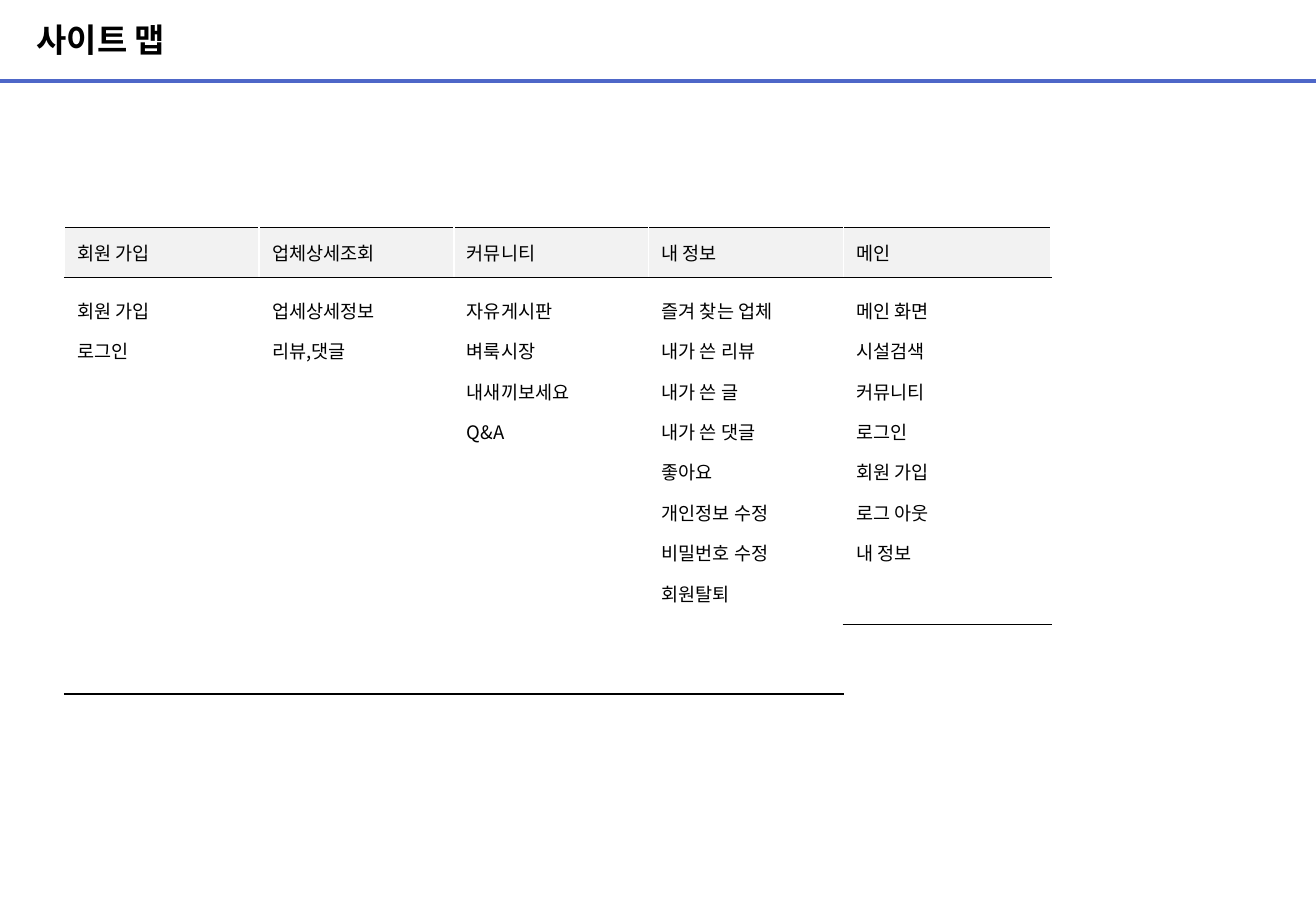
import pptx
import pptx.dml.color
import pptx.enum.shapes
import pptx.enum.text
import pptx.oxml
import pptx.oxml.ns
import pptx.util

Pt = pptx.util.Pt
RGBColor = pptx.dml.color.RGBColor
MIDDLE = pptx.enum.text.MSO_ANCHOR.MIDDLE
TOP = pptx.enum.text.MSO_ANCHOR.TOP

BLACK = RGBColor(0x00, 0x00, 0x00)
WHITE = RGBColor(0xFF, 0xFF, 0xFF)
GRAY = RGBColor(0xF2, 0xF2, 0xF2)
BLUE = RGBColor(0x4E, 0x67, 0xC8)
KOREAN_FONT = "Noto Sans CJK KR"

PAGE_WIDTH, PAGE_HEIGHT = 780, 540
TABLE_TOP, HEADER_HEIGHT = 134.6, 29.8
MENU_LEFT, MENU_COLUMN = 38.2, 115.4

MENU = {
    "회원 가입": ["회원 가입", "로그인"],
    "업체상세조회": ["업세상세정보", "리뷰,댓글"],
    "커뮤니티": ["자유게시판", "벼룩시장", "내새끼보세요", "Q&A"],
    "내 정보": ["즐겨 찾는 업체", "내가 쓴 리뷰", "내가 쓴 글", "내가 쓴 댓글",
             "좋아요", "개인정보 수정", "비밀번호 수정", "회원탈퇴"],
}
MAIN = {
    "메인": ["메인 화면", "시설검색", "커뮤니티", "로그인", "회원 가입",
           "로그 아웃", "내 정보"],
}


def apply(target, values):
    """Set every attribute named in the dict."""
    for name, value in values.items():
        setattr(target, name, value)


class SiteMapPage:
    TITLE_FONT = {"name": "Arial", "size": Pt(19.5), "bold": True}
    CELL_FONT = {"name": KOREAN_FONT, "size": Pt(11), "bold": False}
    CELL_MARGINS = {"margin_left": Pt(7.7), "margin_right": Pt(7.7),
                    "margin_top": Pt(3.6), "margin_bottom": Pt(3.6)}
    BORDERS = {"lnL": (WHITE, 1), "lnR": (WHITE, 1),
               "lnT": (BLACK, 0.75), "lnB": (BLACK, 0.75)}

    def __init__(self, deck):
        self.page = deck.slides.add_slide(deck.slide_layouts[5])

    def text(self, frame, lines, font, spacing):
        for index, line in enumerate(lines):
            para = frame.add_paragraph() if index else frame.paragraphs[0]
            apply(para, {"line_spacing": spacing,
                         "alignment": pptx.enum.text.PP_ALIGN.LEFT})
            span = para.add_run()
            span.text = line
            apply(span.font, font)
            span.font.color.rgb = BLACK
            east_asian = pptx.oxml.parse_xml(
                f'<a:ea {pptx.oxml.ns.nsdecls("a")} typeface="{KOREAN_FONT}"/>')
            span.font._element.find(pptx.oxml.ns.qn("a:latin")).addnext(east_asian)

    def title(self, text, left, top, width, height):
        box = self.page.shapes.title
        apply(box, {"left": Pt(left), "top": Pt(top),
                    "width": Pt(width), "height": Pt(height)})
        apply(box.text_frame, {
            "margin_left": 0, "margin_right": 0, "margin_top": 0,
            "margin_bottom": 0, "vertical_anchor": MIDDLE, "word_wrap": True,
            "auto_size": pptx.enum.text.MSO_AUTO_SIZE.NONE})
        self.text(box.text_frame, [text], self.TITLE_FONT, 0.9)

    def rule(self, y):
        line = self.page.shapes.add_connector(
            pptx.enum.shapes.MSO_CONNECTOR.STRAIGHT, 0, Pt(y), Pt(PAGE_WIDTH), Pt(y))
        line.line.color.rgb = BLUE
        line.line.width = Pt(2.25)
        line._element.spPr.append(pptx.oxml.parse_xml(
            f'<a:effectLst {pptx.oxml.ns.nsdecls("a")}/>'))

    def cell(self, cell, lines, fill, anchor, spacing):
        apply(cell, {**self.CELL_MARGINS, "vertical_anchor": anchor})
        cell.fill.solid()
        cell.fill.fore_color.rgb = fill
        properties = cell._tc.get_or_add_tcPr()
        for index, (edge, (color, width)) in enumerate(self.BORDERS.items()):
            properties.insert(index, pptx.oxml.parse_xml(
                f'<a:{edge} {pptx.oxml.ns.nsdecls("a")} w="{Pt(width)}">'
                f'<a:solidFill><a:srgbClr val="{color}"/></a:solidFill></a:{edge}>'))
        self.text(cell.text_frame, lines, self.CELL_FONT, spacing)

    def table(self, sections, left, column_width, body_height):
        """Draw one column per section: its name above its pages."""
        table = self.page.shapes.add_table(
            2, len(sections), Pt(left), Pt(TABLE_TOP),
            Pt(column_width * len(sections)), Pt(HEADER_HEIGHT + body_height)).table
        apply(table, {"first_row": False, "horz_banding": False})
        table.rows[0].height = Pt(HEADER_HEIGHT)
        table.rows[1].height = Pt(body_height)
        for index, (name, pages) in enumerate(sections.items()):
            table.columns[index].width = Pt(column_width)
            self.cell(table.cell(0, index), [name], GRAY, MIDDLE, 1.0)
            self.cell(table.cell(1, index), pages, WHITE, TOP, 1.5)


def main():
    deck = pptx.Presentation()
    apply(deck, {"slide_width": Pt(PAGE_WIDTH), "slide_height": Pt(PAGE_HEIGHT)})
    site_map = SiteMapPage(deck)
    site_map.rule(48.2)
    site_map.table(MENU, MENU_LEFT, MENU_COLUMN, 247)
    site_map.title("사이트 맵", 21.6, 0, 510.5, 49)
    site_map.table(MAIN, MENU_LEFT + MENU_COLUMN * len(MENU), 123.2, 205.8)
    deck.save("out.pptx")


if __name__ == "__main__":
    main()
